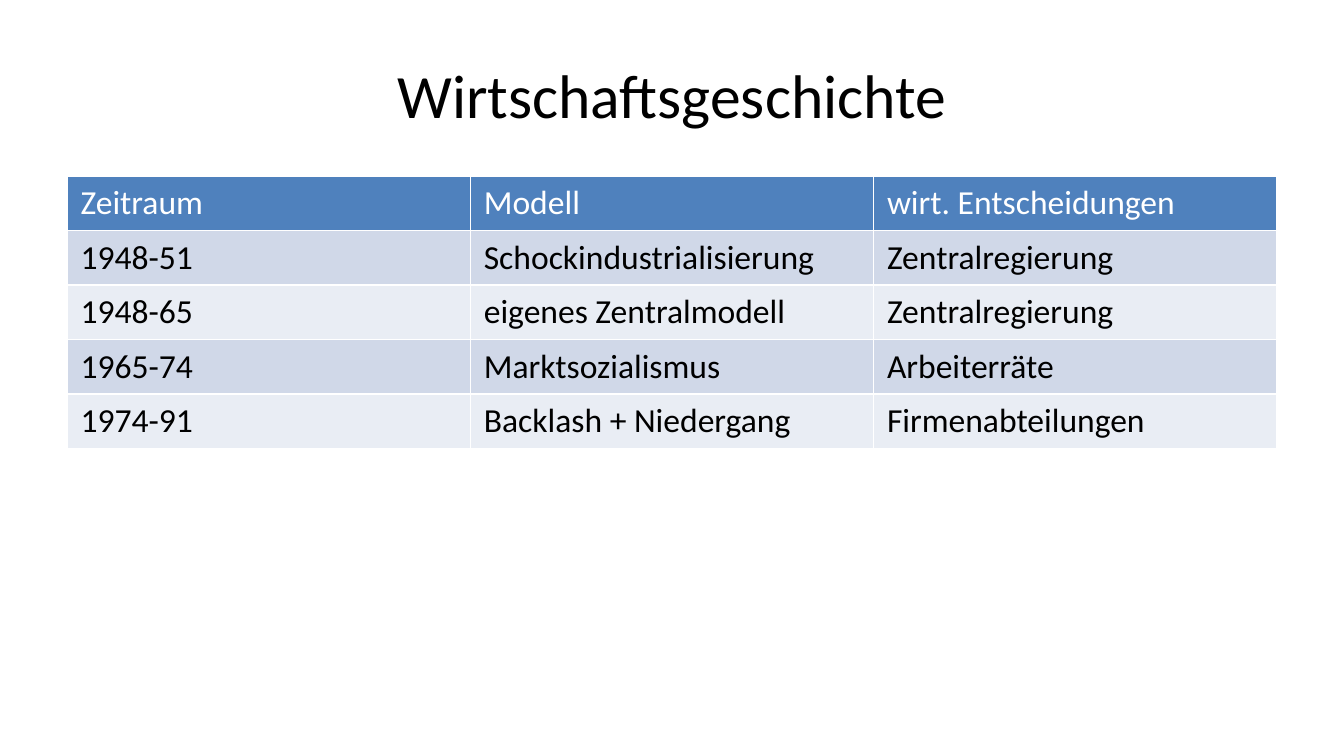
"""Build a slide with a table of economic periods."""
from dataclasses import dataclass
from typing import NamedTuple

from pptx import Presentation
from pptx.dml.color import RGBColor
from pptx.enum import text
from pptx.util import Inches, Pt


@dataclass(frozen=True)
class Theme:
    font: str = "Calibri"
    title_size: float = 33
    table_size: float = 18
    dark: str = "000000"
    light: str = "FFFFFF"
    header: str = "4F81BD"
    bands: tuple[str, str] = ("D0D8E8", "E9EDF4")


class Period(NamedTuple):
    years: str
    model: str
    decisions: str


THEME = Theme()
HEADINGS = Period("Zeitraum", "Modell", "wirt. Entscheidungen")
PERIODS = [
    Period("1948-51", "Schockindustrialisierung", "Zentralregierung"),
    Period("1948-65", "eigenes Zentralmodell", "Zentralregierung"),
    Period("1965-74", "Marktsozialismus", "Arbeiterräte"),
    Period("1974-91", "Backlash + Niedergang", "Firmenabteilungen"),
]
SLIDE_WIDTH = 10
SLIDE_HEIGHT = SLIDE_WIDTH * 9 / 16
LEFT, WIDTH = 0.5, 9
TABLE_HEIGHT = 2.03


def write(para, words: str, size: float, color: str) -> None:
    para.text = words
    para.font.name = THEME.font
    para.font.size = Pt(size)
    para.font.bold = False
    para.font.color.rgb = RGBColor.from_string(color)


def add_title(page, words: str) -> None:
    box = page.shapes.add_textbox(Inches(LEFT), Inches(0.23), Inches(WIDTH), Inches(0.94))
    frame = box.text_frame
    frame.word_wrap = True
    frame.vertical_anchor = text.MSO_ANCHOR.MIDDLE
    para = frame.paragraphs[0]
    para.alignment = text.PP_ALIGN.CENTER
    write(para, words, THEME.title_size, THEME.dark)


def fill_row(row, period: Period, fill: str, color: str) -> None:
    for cell, words in zip(row.cells, period):
        cell.fill.solid()
        cell.fill.fore_color.rgb = RGBColor.from_string(fill)
        write(cell.text_frame.paragraphs[0], words, THEME.table_size, color)


def add_periods(page, headings: Period, periods: list[Period]) -> None:
    table = page.shapes.add_table(
        len(periods) + 1, len(headings),
        Inches(LEFT), Inches(1.31), Inches(WIDTH), Inches(TABLE_HEIGHT),
    ).table
    fill_row(table.rows[0], headings, THEME.header, THEME.light)
    for index, period in enumerate(periods):
        fill_row(table.rows[index + 1], period, THEME.bands[index % 2], THEME.dark)


def main() -> None:
    deck = Presentation()
    deck.slide_width, deck.slide_height = Inches(SLIDE_WIDTH), Inches(SLIDE_HEIGHT)
    page = deck.slides.add_slide(deck.slide_layouts[6])
    add_title(page, "Wirtschaftsgeschichte")
    add_periods(page, HEADINGS, PERIODS)
    deck.save("out.pptx")


if __name__ == "__main__":
    main()
